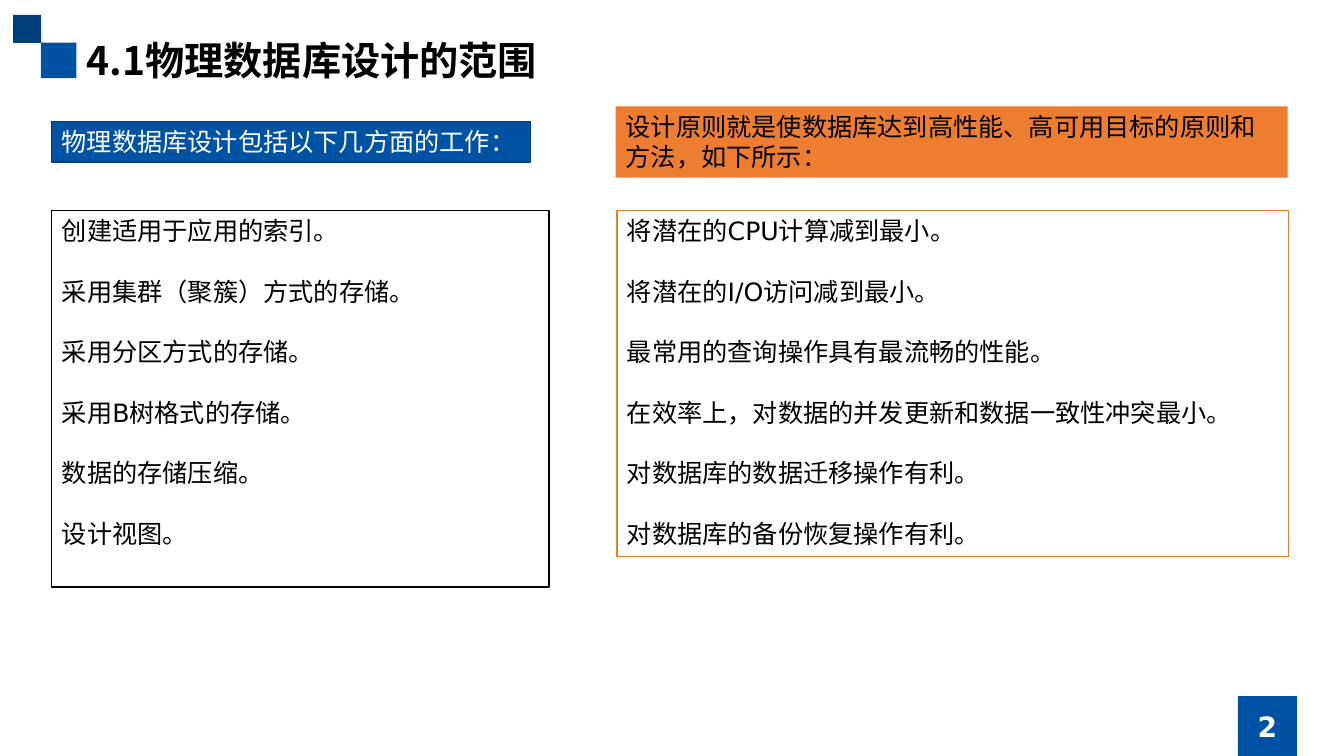
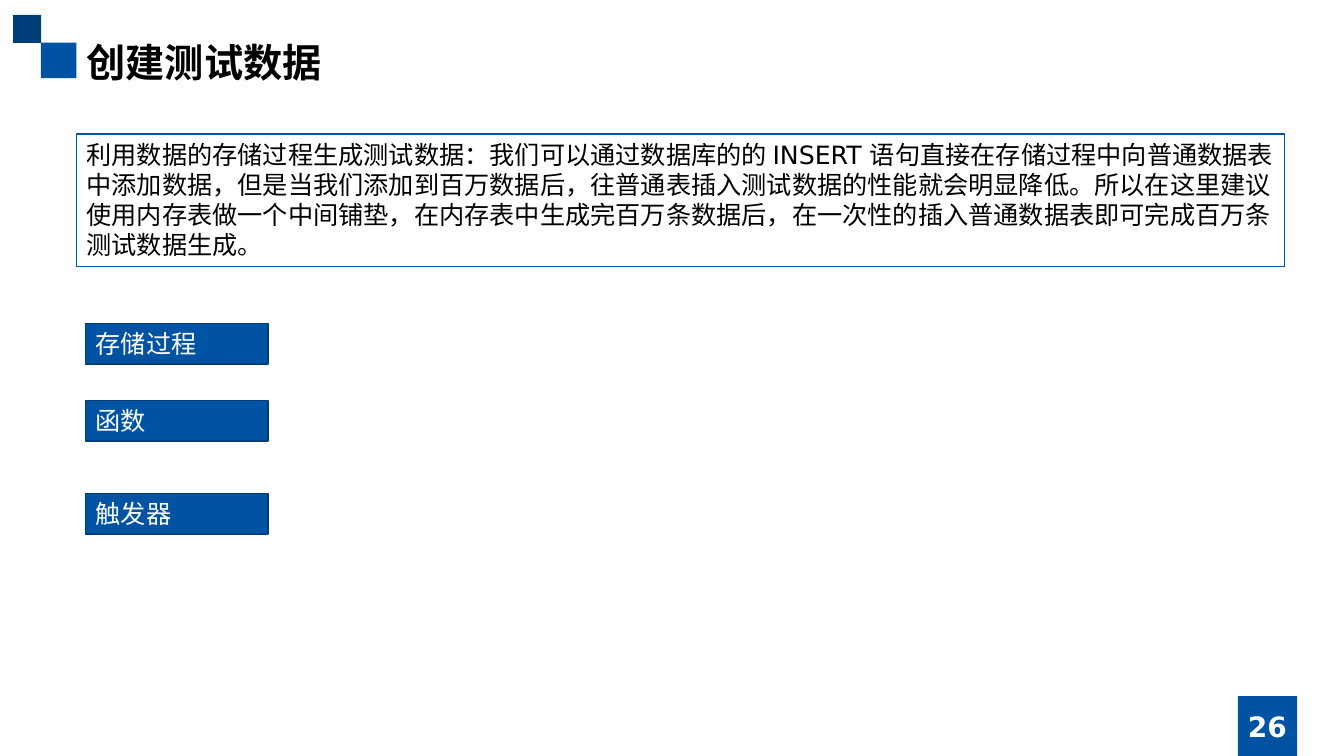
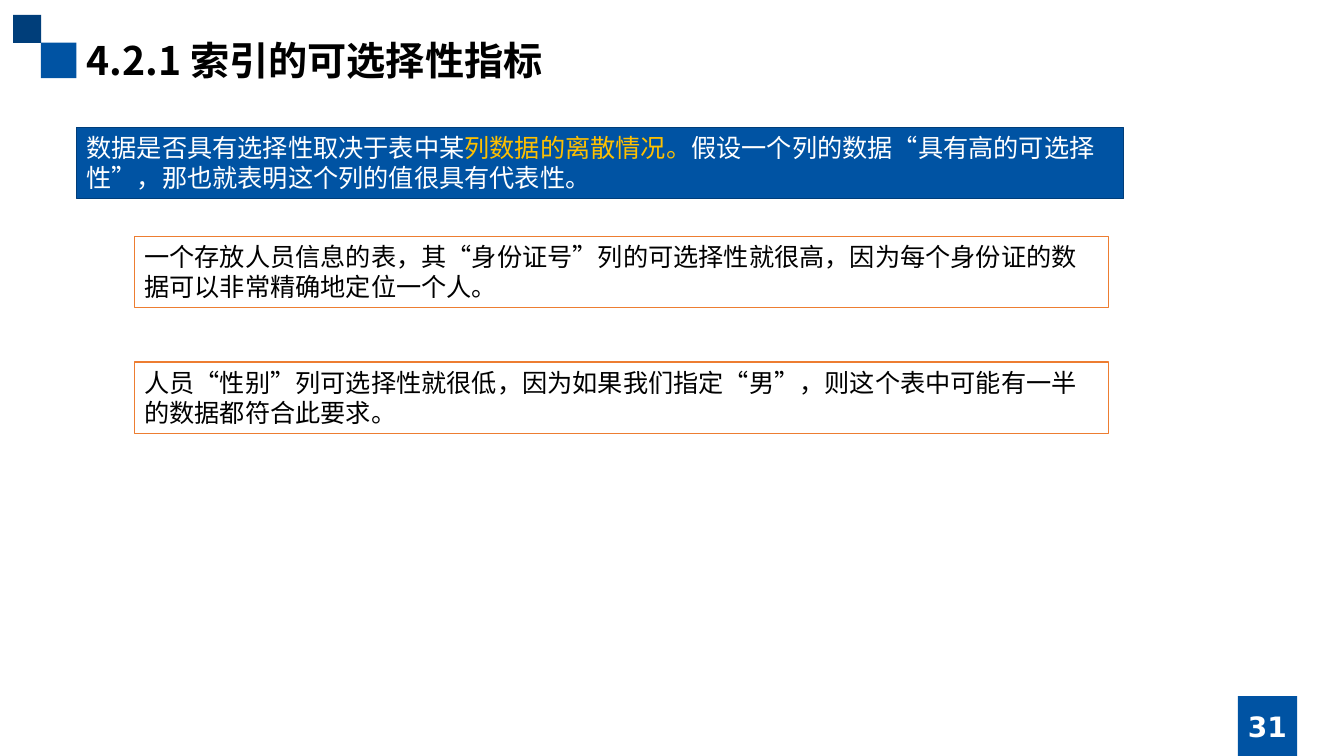
"""Build three slides on physical database design."""
from pptx import Presentation
from pptx.dml.color import RGBColor
from pptx.enum.lang import MSO_LANGUAGE_ID
from pptx.enum.shapes import MSO_SHAPE
from pptx.enum.text import MSO_ANCHOR, MSO_AUTO_SIZE, PP_ALIGN
from pptx.oxml.ns import qn
from pptx.util import Pt
from lxml.etree import SubElement

HUES = {"blue": "0053A3", "navy": "003E7A", "edge": "003D79", "orange": "ED7D31",
        "gold": "FFC000", "white": "FFFFFF", "black": "000000"}
HAN, BODY = "Noto Sans CJK SC", "DejaVu Sans"
STYLES = {
    "band": ("blue", "edge", "white"),
    "accent": ("orange", None, "black"),
    "plain": ("white", "black", "black"),
    "note": ("white", "blue", "black"),
    "case": ("white", "orange", "black"),
}
MARKS = [("blue", 29.2, 30.4, 25.4), ("navy", 9.4, 10.6, 20)]
BADGE = (884.2, 497.3, 42.3, 42.7)
ONE, TWO, FOUR = 29, 51, 94.4
SLIDES = [
    {
        "title": "4.1物理数据库设计的范围", "top": 22.2, "page": "2",
        "boxes": [
            ("band", (37, 86.8, 342, ONE), ["物理数据库设计包括以下几方面的工作："]),
            ("accent", (439.8, 76, 480, TWO),
             ["设计原则就是使数据库达到高性能、高可用目标的原则和方法，如下所示："]),
        ],
        "lists": [
            ("plain", (37, 150.4, 355.2, 269),
             ["创建适用于应用的索引。", "采用集群（聚簇）方式的存储。", "采用分区方式的存储。",
              "采用B树格式的存储。", "数据的存储压缩。", "设计视图。"]),
            ("case", (440.6, 150.4, 479.8, 247),
             ["将潜在的CPU计算减到最小。", "将潜在的I/O访问减到最小。",
              "最常用的查询操作具有最流畅的性能。",
              "在效率上，对数据的并发更新和数据一致性冲突最小。",
              "对数据库的数据迁移操作有利。", "对数据库的备份恢复操作有利。"]),
        ],
    },
    {
        "title": "创建测试数据", "top": 23.8, "page": "26",
        "boxes": [
            ("note", (54.7, 95.8, 863, FOUR),
             ["利用数据的存储过程生成测试数据：我们可以通过数据库的的 INSERT 语句直接在存储过程中"
              "向普通数据表中添加数据，但是当我们添加到百万数据后，往普通表插入测试数据的性能就会明显降低。"
              "所以在这里建议使用内存表做一个中间铺垫，在内存表中生成完百万条数据后，"
              "在一次性的插入普通数据表即可完成百万条测试数据生成。"]),
        ] + [("band", (61.2, top, 130.3, ONE), [name]) for name, top in
             [("存储过程", 231.1), ("函数", 286), ("触发器", 352.5)]],
    },
    {
        "title": "4.2.1 索引的可选择性指标", "top": 22.2, "page": "31",
        "boxes": [
            ("band", (54.7, 90.9, 748, TWO),
             [["数据是否具有选择性取决于表中某", ("列数据的离散情况。", "gold"),
               "假设一个列的数据“具有高的可选择性”，那也就表明这个列的值很具有代表性。"]]),
            ("case", (96, 168.9, 696, TWO),
             ["一个存放人员信息的表，其“身份证号”列的可选择性就很高，"
              "因为每个身份证的数据可以非常精确地定位一个人。"]),
            ("case", (96, 258.6, 696, TWO),
             ["人员“性别”列可选择性就很低，因为如果我们指定“男”，"
              "则这个表中可能有一半的数据都符合此要求。"]),
        ],
    },
]


def tint(hue):
    return RGBColor.from_string(HUES[hue])


def place(shape, area):
    shape.left, shape.top, shape.width, shape.height = map(Pt, area)


def paint(shape, fill, line=None):
    shape.fill.solid()
    shape.fill.fore_color.rgb = tint(fill)
    if line:
        shape.line.color.rgb = tint(line)
        shape.line.width = Pt(1)
    else:
        shape.line.fill.background()


def add_box(slide, area):
    box = slide.shapes.add_shape(MSO_SHAPE.RECTANGLE, *map(Pt, area))
    box.shadow.inherit = False
    return box


def write(shape, paras, hue, size=18, face=BODY, bold=False,
          align=PP_ALIGN.LEFT, anchor=MSO_ANCHOR.TOP, gap=0):
    frame = shape.text_frame
    frame.word_wrap = True
    frame.auto_size = MSO_AUTO_SIZE.NONE
    frame.vertical_anchor = anchor
    for num, text in enumerate(paras):
        para = frame.add_paragraph() if num else frame.paragraphs[0]
        para.alignment = align
        para.space_before = Pt(gap if num else 0)
        font = para.font
        font.size, font.name, font.bold = Pt(size), face, bold
        font.color.rgb = tint(hue)
        font.language_id = MSO_LANGUAGE_ID.SIMPLIFIED_CHINESE
        props = para._p.pPr
        SubElement(props.find(qn("a:defRPr")), qn("a:ea"), typeface=HAN)
        for part in [text] if isinstance(text, str) else text:
            run = para.add_run()
            if isinstance(part, str):
                run.text = part
            else:
                run.text = part[0]
                run.font.color.rgb = tint(part[1])


def unbullet(shape):
    for para in shape.text_frame.paragraphs:
        props = para._p.pPr
        props.set("marL", "0")
        props.set("indent", "0")
        mark = props.makeelement(qn("a:buNone"), {})
        props.find(qn("a:defRPr")).addprevious(mark)


def frame_slide(slide, title, top, page):
    for hue, left, high, side in MARKS:
        paint(add_box(slide, (left, high, side, side)), hue)
    badge = add_box(slide, BADGE)
    paint(badge, "blue")
    badge.text_frame.margin_left = badge.text_frame.margin_right = 0
    write(badge, [page], "white", 20, bold=True,
          align=PP_ALIGN.CENTER, anchor=MSO_ANCHOR.MIDDLE)
    head = slide.shapes.title
    place(head, (54.7, top, 850, 41))
    write(head, [title], "black", 28, HAN, True)


def main():
    deck = Presentation()
    deck.slide_width, deck.slide_height = Pt(960), Pt(540)
    for data in SLIDES:
        lists = data.get("lists", [])
        slide = deck.slides.add_slide(deck.slide_layouts[3 if lists else 5])
        frame_slide(slide, data["title"], data["top"], data["page"])
        for style, area, paras in data["boxes"]:
            fill, line, hue = STYLES[style]
            box = add_box(slide, area)
            paint(box, fill, line)
            write(box, paras, hue)
        for body, (style, area, paras) in zip(list(slide.placeholders)[1:], lists):
            fill, line, hue = STYLES[style]
            place(body, area)
            paint(body, fill, line)
            write(body, paras, hue, gap=21.6)
            unbullet(body)
    deck.save("out.pptx")


if __name__ == "__main__":
    main()
